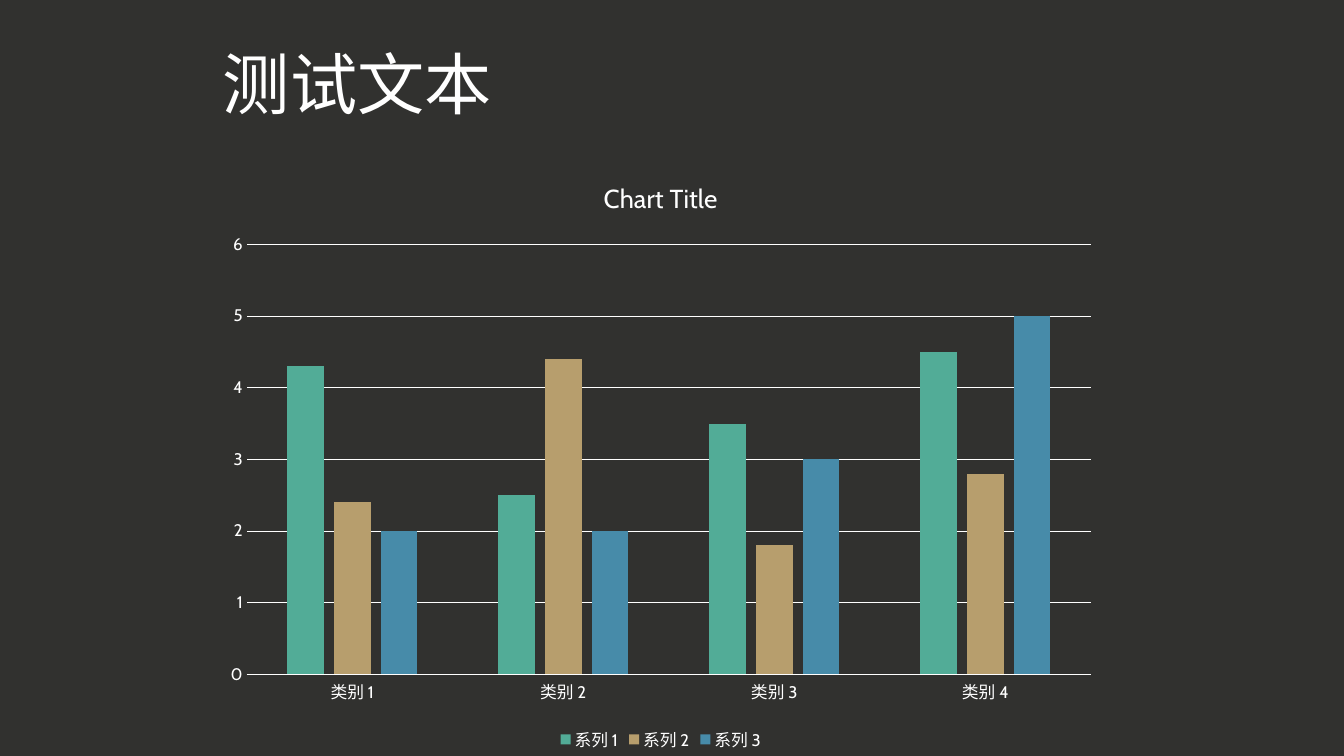
from pptx import Presentation
from pptx.chart.data import CategoryChartData
from pptx.dml.color import RGBColor
from pptx.enum.chart import XL_CHART_TYPE, XL_LEGEND_POSITION, XL_TICK_MARK
from pptx.enum.text import MSO_ANCHOR, PP_ALIGN
from pptx.util import Pt

COLUMNS = XL_CHART_TYPE.COLUMN_CLUSTERED
BOTTOM = XL_LEGEND_POSITION.BOTTOM
NO_TICK = XL_TICK_MARK.NONE
LEFT = PP_ALIGN.LEFT
MIDDLE = MSO_ANCHOR.MIDDLE

FONT = "Cabin"
WHITE = RGBColor(0xFF, 0xFF, 0xFF)
CHARCOAL = RGBColor(0x31, 0x31, 0x2F)
GREEN = RGBColor(0x52, 0xAC, 0x97)
SAND = RGBColor(0xB7, 0x9E, 0x6D)
BLUE = RGBColor(0x47, 0x8B, 0xA9)

CATEGORIES = ["类别 1", "类别 2", "类别 3", "类别 4"]
SERIES = [
    ("系列 1", (4.3, 2.5, 3.5, 4.5), GREEN),
    ("系列 2", (2.4, 4.4, 1.8, 2.8), SAND),
    ("系列 3", (2, 2, 3, 5), BLUE),
]


def set_font(font, size):
    font.name = FONT
    font.size = Pt(size)
    font.bold = False
    font.color.rgb = WHITE


def set_line(line):
    line.color.rgb = WHITE
    line.width = Pt(0.75)


def add_title(s, text):
    sp = s.shapes.title
    sp.left, sp.top, sp.width, sp.height = Pt(152), Pt(26.6), Pt(675), Pt(65.5)
    tf = sp.text_frame
    tf.text = text
    tf.word_wrap = True
    tf.vertical_anchor = MIDDLE
    p = tf.paragraphs[0]
    p.alignment = LEFT
    set_font(p.font, 48)


def format_axes(chart):
    for axis in (chart.category_axis, chart.value_axis):
        axis.major_tick_mark = NO_TICK
        axis.minor_tick_mark = NO_TICK
        set_font(axis.tick_labels.font, 12)
    set_line(chart.category_axis.format.line)

    values = chart.value_axis
    values.minimum_scale = 0
    values.maximum_scale = 6
    values.major_unit = 1
    values.format.line.fill.background()
    values.has_major_gridlines = True
    set_line(values.major_gridlines.format.line)


def add_column_chart(s, title):
    data = CategoryChartData()
    data.categories = CATEGORIES
    for name, values, _ in SERIES:
        data.add_series(name, values)
    chart = s.shapes.add_chart(
        COLUMNS, Pt(152), Pt(113), Pt(640), Pt(427), data).chart
    set_font(chart.font, 10)

    # Chart title
    chart.has_title = True
    tf = chart.chart_title.text_frame
    tf.text = title
    set_font(tf.paragraphs[0].font, 18.6)
    chart.chart_title.include_in_layout = False

    # Columns
    plot = chart.plots[0]
    plot.gap_width = 219
    plot.overlap = -27
    plot.vary_by_categories = False
    for series, (_, _, color) in zip(plot.series, SERIES):
        series.format.fill.solid()
        series.format.fill.fore_color.rgb = color

    format_axes(chart)

    # Legend
    chart.has_legend = True
    chart.legend.position = BOTTOM
    chart.legend.include_in_layout = False
    set_font(chart.legend.font, 12)


def main():
    prs = Presentation()
    prs.slide_width, prs.slide_height = Pt(960), Pt(540)
    s = prs.slides.add_slide(prs.slide_layouts[5])
    s.background.fill.solid()
    s.background.fill.fore_color.rgb = CHARCOAL
    add_column_chart(s, "Chart Title")
    add_title(s, "测试文本")
    prs.save("out.pptx")


if __name__ == "__main__":
    main()
